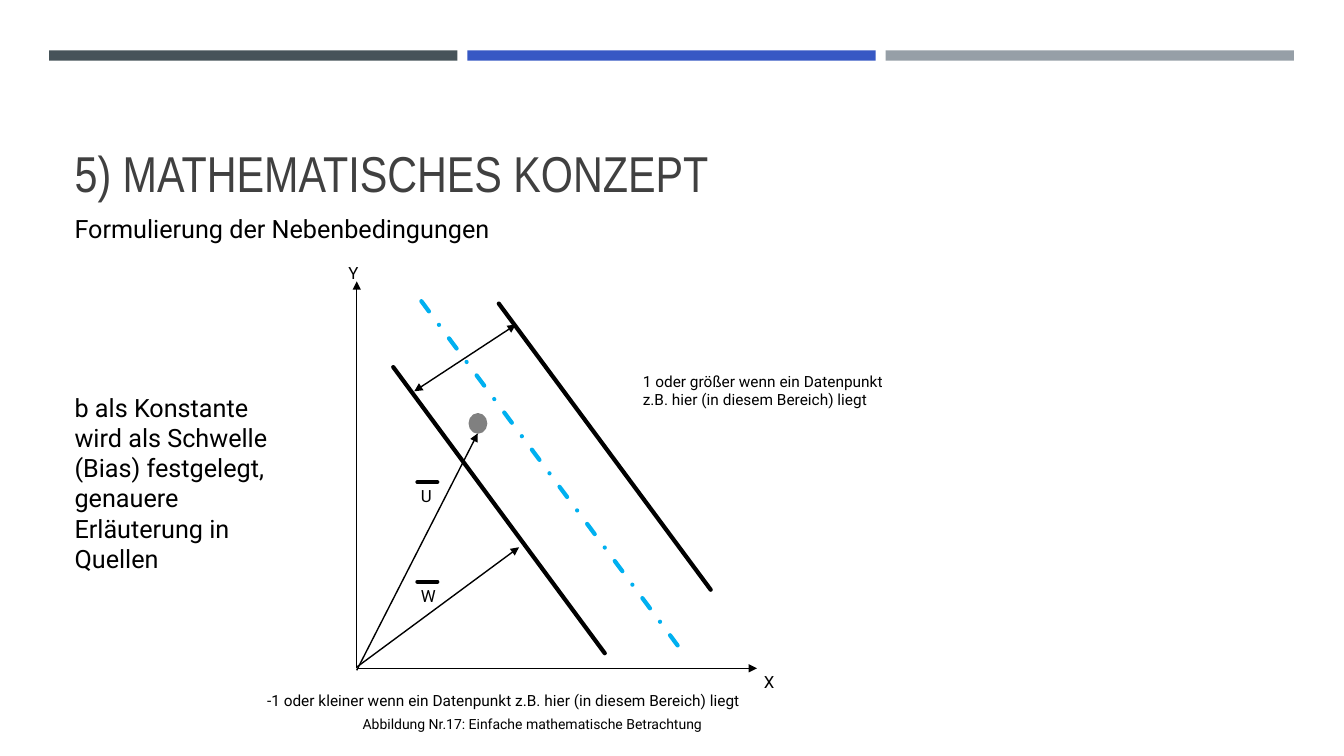
"""Build the slide on the mathematical concept behind the separating margin."""
from typing import NamedTuple

from lxml import etree
from pptx import Presentation
from pptx.dml.color import RGBColor
from pptx.enum.dml import MSO_LINE
from pptx.enum.shapes import MSO_CONNECTOR, MSO_SHAPE
from pptx.enum.text import MSO_ANCHOR
from pptx.oxml.ns import qn
from pptx.util import Cm, Pt

STRAIGHT = MSO_CONNECTOR.STRAIGHT
RECTANGLE = MSO_SHAPE.RECTANGLE
OVAL = MSO_SHAPE.OVAL
DASH_DOT = MSO_LINE.DASH_DOT
TOP = MSO_ANCHOR.TOP
BOTTOM = MSO_ANCHOR.BOTTOM

COLORS = {
    "slate": "465359",
    "blue": "3758C4",
    "silver": "969FA7",
    "title": "404040",
    "black": "000000",
    "hyperplane": "00B0F0",
    "point": "808080",
}
BODY_FONT = "Roboto"
TITLE_FONT = "Arial Narrow"

BAR_LEFT, BAR_TOP, BAR_WIDTH, BAR_HEIGHT, BAR_STEP = 1.24, 1.27, 10.29, 0.26, 10.54
TEXT_LEFT = 1.63
AXIS_X, AXIS_Y = 8.99, 16.84


class Box(NamedTuple):
    left: float
    top: float
    width: float
    height: float


class Label(NamedTuple):
    text: str
    box: Box
    size: float


class Segment(NamedTuple):
    x1: float
    y1: float
    x2: float
    y2: float
    width: float = 1
    color: str = "black"
    head: bool = False
    tail: bool = False
    dashed: bool = False


class Vector(NamedTuple):
    name: str
    label_top: float
    start_y: float
    tip_x: float
    tip_y: float


LABELS = [
    Label("Formulierung der Nebenbedingungen", Box(TEXT_LEFT, 5.26, 13.08, 1.02), 18),
    Label("b als Konstante wird als Schwelle (Bias) festgelegt, genauere Erläuterung in Quellen",
          Box(TEXT_LEFT, 9.75, 6.15, 4.88), 18),
    Label("Y", Box(8.53, 6.5, 0.74, 0.69), 12),
    Label("X", Box(19, 16.81, 0.81, 0.69), 12),
    Label("1 oder größer wenn ein Datenpunkt z.B. hier (in diesem Bereich) liegt",
          Box(15.95, 9.25, 6.93, 1.8), 11),
    Label("-1 oder kleiner wenn ein Datenpunkt z.B. hier (in diesem Bereich) liegt",
          Box(6.48, 17.3, 13.28, 1.3), 11),
    Label("Abbildung Nr.17: Einfache mathematische Betrachtung",
          Box(8.89, 17.91, 18.34, 0.69), 10),
]

SEGMENTS = [
    Segment(AXIS_X, AXIS_Y, AXIS_X, 7.09, tail=True),
    Segment(AXIS_X, AXIS_Y, 19.08, AXIS_Y, tail=True),
    Segment(10.62, 7.59, 17.2, 16.43, 3, "hyperplane", dashed=True),
    Segment(9.91, 9.25, 15.24, 16.46, 3),
    Segment(12.57, 7.65, 17.91, 14.86, 3),
    Segment(10.44, 9.86, 13, 8.18, head=True, tail=True),
]

VECTORS = [
    Vector("W", 14.63, 16.81, 13.08, 13.79),
    Vector("U", 12.12, 16.89, 12.04, 10.92),
]


def rgb(name: str) -> RGBColor:
    """Return the palette colour with this name."""
    return RGBColor.from_string(COLORS[name])


def add_text(slide, text: str, box: Box, *, size: float, font: str = BODY_FONT,
             color: str = "black", anchor=TOP, spacing: float = 1.0) -> None:
    """Add one wrapped paragraph in a text box."""
    frame = slide.shapes.add_textbox(*map(Cm, box)).text_frame
    frame.word_wrap = True
    frame.vertical_anchor = anchor
    paragraph = frame.paragraphs[0]
    paragraph.line_spacing = spacing
    run = paragraph.add_run()
    run.text = text
    run.font.name = font
    run.font.size = Pt(size)
    run.font.color.rgb = rgb(color)


def add_filled(slide, kind, box: Box, color: str, outline: float = 0) -> None:
    """Add a filled shape, with an outline in its own colour if asked."""
    shape = slide.shapes.add_shape(kind, *map(Cm, box))
    shape.shadow.inherit = False
    shape.fill.solid()
    shape.fill.fore_color.rgb = rgb(color)
    if outline:
        shape.line.color.rgb = rgb(color)
        shape.line.width = Pt(outline)
    else:
        shape.line.fill.background()


def add_segment(slide, segment: Segment) -> None:
    """Add a straight line with round caps and optional arrowheads."""
    connector = slide.shapes.add_connector(STRAIGHT, *map(Cm, segment[:4]))
    connector.line.color.rgb = rgb(segment.color)
    connector.line.width = Pt(segment.width)
    if segment.dashed:
        connector.line.dash_style = DASH_DOT
    properties = connector.element.spPr
    outline = properties.find(qn("a:ln"))
    if segment.width > 1:
        outline.set("cap", "rnd")
    for tag, wanted in (("a:headEnd", segment.head), ("a:tailEnd", segment.tail)):
        if wanted:
            etree.SubElement(outline, qn(tag), type="triangle")
    etree.SubElement(properties, qn("a:effectLst"))


def add_vector(slide, vector: Vector) -> None:
    """Add a vector from the origin with its overlined name."""
    add_segment(slide, Segment(AXIS_X, vector.start_y, vector.tip_x, vector.tip_y, tail=True))
    add_text(slide, vector.name, Box(10.36, vector.label_top, 0.74, 0.69), size=12)
    overline_y = vector.label_top + 0.03
    add_segment(slide, Segment(10.52, overline_y, 11.02, overline_y, 3))


def main() -> None:
    """Create the presentation and save it."""
    presentation = Presentation()
    presentation.slide_width, presentation.slide_height = Cm(33.87), Cm(19.05)
    slide = presentation.slides.add_slide(presentation.slide_layouts[6])

    for index, color in enumerate(("slate", "blue", "silver")):
        bar = Box(BAR_LEFT + index * BAR_STEP, BAR_TOP, BAR_WIDTH, BAR_HEIGHT)
        add_filled(slide, RECTANGLE, bar, color)

    add_text(slide, "5) MATHEMATISCHES KONZEPT", Box(TEXT_LEFT, 1.96, 30.63, 3.3),
             size=36, font=TITLE_FONT, color="title", anchor=BOTTOM, spacing=0.9)
    for segment in SEGMENTS:
        add_segment(slide, segment)
    for vector in VECTORS:
        add_vector(slide, vector)
    add_filled(slide, OVAL, Box(11.84, 10.44, 0.41, 0.46), "point", outline=1.75)
    for label in LABELS:
        add_text(slide, label.text, label.box, size=label.size)

    presentation.save("out.pptx")


if __name__ == "__main__":
    main()
